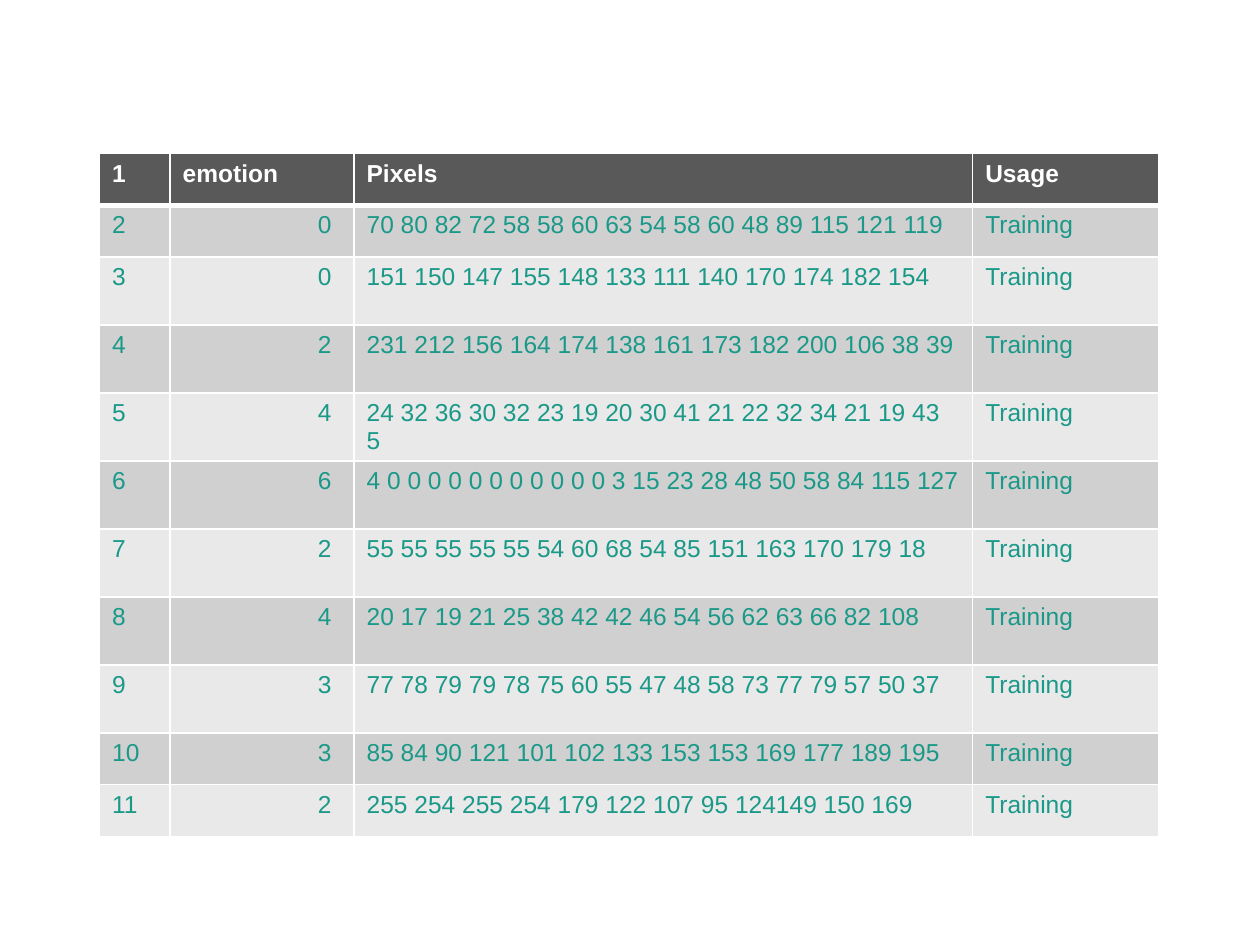
from pptx import Presentation
from pptx.dml.color import RGBColor as Rgb
from pptx.enum.text import PP_ALIGN as Align
from pptx.oxml import parse_xml
from pptx.oxml.ns import nsdecls
from pptx.util import Inches, Pt

COLORS = {"head": "595959", "odd": "D0D0D0", "even": "E9E9E9",
          "text": "1A9988", "white": "FFFFFF"}
HEAD = ("1", "emotion", "Pixels", "Usage")
FACES = [
    (0, "70 80 82 72 58 58 60 63 54 58 60 48 89 115 121 119"),
    (0, "151 150 147 155 148 133 111 140 170 174 182 154"),
    (2, "231 212 156 164 174 138 161 173 182 200 106 38 39"),
    (4, "24 32 36 30 32 23 19 20 30 41 21 22 32 34 21 19 43 5"),
    (6, "4 0 0 0 0 0 0 0 0 0 0 0 3 15 23 28 48 50 58 84 115 127"),
    (2, "55 55 55 55 55 54 60 68 54 85 151 163 170 179 18"),
    (4, "20 17 19 21 25 38 42 42 46 54 56 62 63 66 82 108"),
    (3, "77 78 79 79 78 75 60 55 47 48 58 73 77 79 57 50 37"),
    (3, "85 84 90 121 101 102 133 153 153 169 177 189 195"),
    (2, "255 254 255 254 179 122 107 95 124149 150 169"),
]
WIDTHS = (0.56, 1.46, 4.91, 1.48)
SHORT, TALL = 0.41, 0.54
HEIGHTS = [SHORT] * 2 + [TALL] * 7 + [SHORT] * 2


def edge(cell, side, width):
    """Draw one white border of a cell."""
    cell._tc.get_or_add_tcPr().append(parse_xml(
        f'<a:ln{side} {nsdecls("a")} w="{Pt(width)}"><a:solidFill>'
        f'<a:srgbClr val="{COLORS["white"]}"/></a:solidFill></a:ln{side}>'))


def style(cell, row, col):
    """Set the borders, fill and font of a cell."""
    head = row == 0
    for side in "LRTB":
        thick = (row, side) in ((0, "B"), (1, "T"))
        edge(cell, side, 3 if thick else 1)
    band = "head" if head else "odd" if row % 2 else "even"
    cell.fill.solid()
    cell.fill.fore_color.rgb = Rgb.from_string(COLORS[band])
    para = cell.text_frame.paragraphs[0]
    para.font.name = "Arial"
    para.font.size = Pt(14)
    para.font.bold = head
    para.font.color.rgb = Rgb.from_string(COLORS["white" if head else "text"])
    if col == 1 and not head:
        para.alignment = Align.RIGHT
        cell.margin_right = Inches(0.18)


def main():
    """Build the slide with the table of training faces."""
    deck = Presentation()
    deck.slide_width, deck.slide_height = Inches(10), Inches(7.5)
    slide = deck.slides.add_slide(deck.slide_layouts[6])
    rows = [HEAD] + [(str(num), str(mood), dots, "Training")
                     for num, (mood, dots) in enumerate(FACES, 2)]
    table = slide.shapes.add_table(
        len(rows), len(HEAD), Inches(0.79), Inches(1.22),
        Inches(sum(WIDTHS)), Inches(sum(HEIGHTS))).table
    for col, width in zip(table.columns, WIDTHS):
        col.width = Inches(width)
    for row, height in zip(table.rows, HEIGHTS):
        row.height = Inches(height)
    for r, row in enumerate(rows):
        for c, text in enumerate(row):
            cell = table.cell(r, c)
            cell.text = text
            style(cell, r, c)
    deck.save("out.pptx")


if __name__ == "__main__":
    main()
